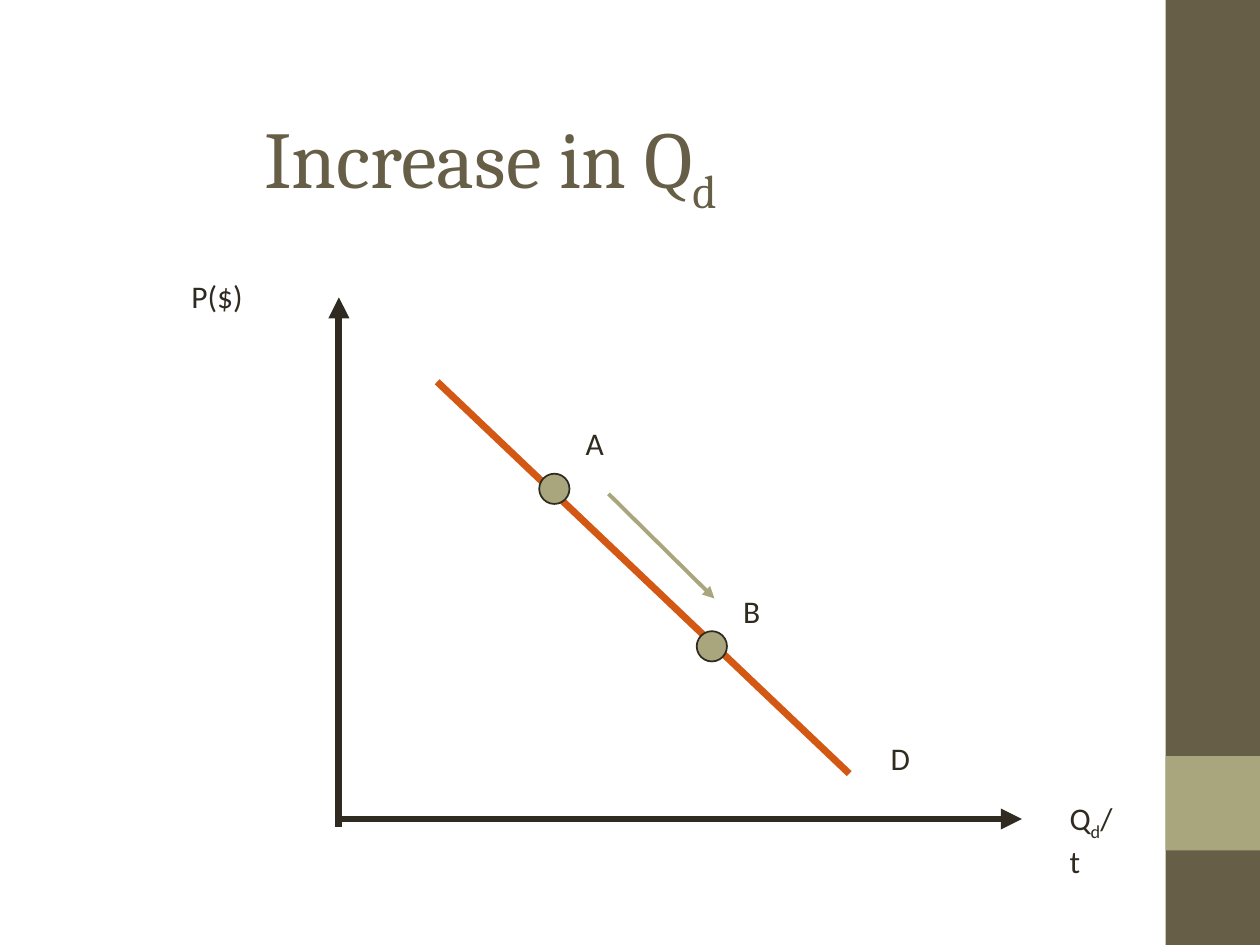
from dataclasses import dataclass

from lxml.etree import SubElement
from pptx import Presentation
from pptx.dml.color import RGBColor
from pptx.enum.shapes import MSO_CONNECTOR as CONN, MSO_SHAPE as SHAPE
from pptx.enum.text import MSO_ANCHOR as ANCHOR, MSO_AUTO_SIZE as AUTO
from pptx.oxml.ns import qn
from pptx.util import Inches, Pt


@dataclass(frozen=True)
class Theme:
    brown: RGBColor = RGBColor.from_string("675E47")
    sage: RGBColor = RGBColor.from_string("A9A57C")
    ink: RGBColor = RGBColor.from_string("2F2B20")
    demand: RGBColor = RGBColor.from_string("D25814")
    heading: str = "Cambria"
    body: str = "Calibri"
    title_size: int = 46
    label_size: int = 18


theme = Theme()

prs = Presentation()
prs.slide_width, prs.slide_height = Inches(10), Inches(7.5)
s = prs.slides.add_slide(prs.slide_layouts[6])


def add_text(parts, box, size=theme.label_size, font=theme.body, color=theme.ink,
             anchor=ANCHOR.TOP, wrap=False):
    sp = s.shapes.add_textbox(*map(Inches, box))
    tf = sp.text_frame
    tf.word_wrap = wrap
    tf.auto_size = AUTO.NONE if wrap else AUTO.SHAPE_TO_FIT_TEXT
    tf.vertical_anchor = anchor
    p = tf.paragraphs[0]
    for text, baseline in parts:
        r = p.add_run()
        r.text = text
        r.font.size, r.font.name = Pt(size), font
        r.font.color.rgb = color
        if baseline:
            r.font._element.set("baseline", str(baseline * 1000))


def add_line(start, end, color, width, arrow=False):
    line = s.shapes.add_connector(CONN.STRAIGHT, *map(Inches, start + end))
    line.line.color.rgb = color
    line.line.width = Pt(width)
    if arrow:
        SubElement(line.line._get_or_add_ln(), qn("a:tailEnd"), type="triangle")
    SubElement(line._element.spPr, qn("a:effectLst"))


for kind, box, fill, outline in [
    (SHAPE.RECTANGLE, (9.25, 0, 0.75, 7.5), theme.brown, None),
    (SHAPE.RECTANGLE, (9.25, 6, 0.75, 0.75), theme.sage, None),
]:
    sp = s.shapes.add_shape(kind, *map(Inches, box))
    sp.shadow.inherit = False
    sp.fill.solid()
    sp.fill.fore_color.rgb = fill
    sp.line.fill.background()

add_text([("Increase in Q", 0), ("d", -25)], (2, 0.67, 8.5, 1.25), size=theme.title_size,
         font=theme.heading, color=theme.brown, anchor=ANCHOR.MIDDLE, wrap=True)

add_line((2.69, 6.56), (2.69, 2.36), theme.ink, 4, arrow=True)
add_line((2.67, 6.5), (8.11, 6.5), theme.ink, 4, arrow=True)
add_line((3.47, 3.03), (6.74, 6.14), theme.demand, 4)

for text, box in [
    ("P($)", (1.42, 2.15, 0.61, 0.4)),
    ("D", (6.97, 5.82, 0.35, 0.4)),
    ("A", (4.55, 3.32, 0.34, 0.4)),
    ("B", (5.8, 4.65, 0.33, 0.4)),
]:
    add_text([(text, 0)], box)

for left, top in [(4.28, 3.76), (5.53, 5.01)]:
    point = s.shapes.add_shape(SHAPE.OVAL, Inches(left), Inches(top), Inches(0.24), Inches(0.24))
    point.shadow.inherit = False
    point.fill.solid()
    point.fill.fore_color.rgb = theme.sage
    point.line.color.rgb = theme.ink
    point.line.width = Pt(1)

add_text([("Q", 0), ("d", -25), ("/t", 0)], (8.39, 6.44, 0.62, 0.44), anchor=ANCHOR.MIDDLE)
add_line((4.83, 3.92), (5.67, 4.75), theme.sage, 2.25, arrow=True)

prs.save("out.pptx")
